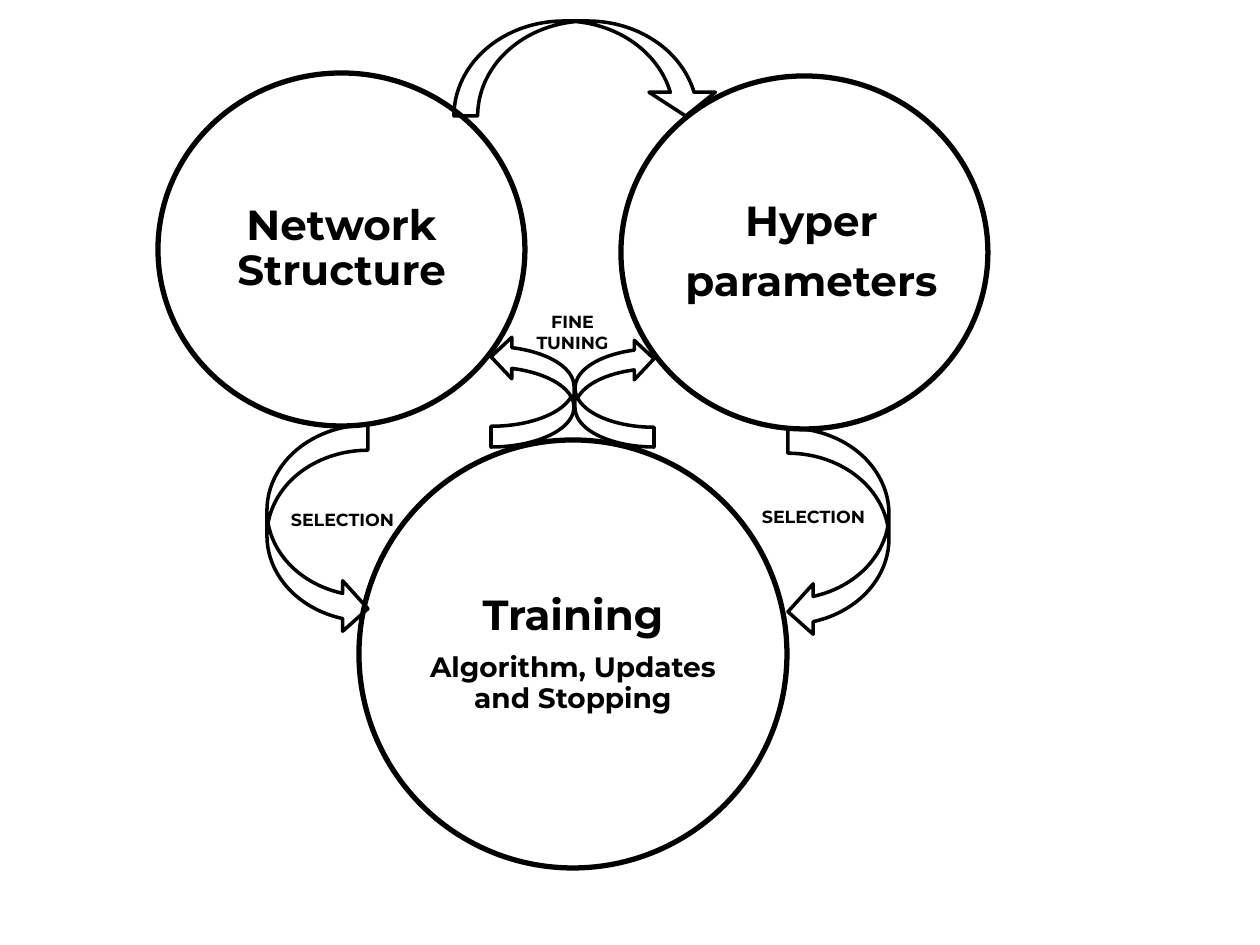
from dataclasses import dataclass

from pptx import Presentation
from pptx.dml.color import RGBColor
from pptx.enum.shapes import MSO_SHAPE
from pptx.enum.text import MSO_ANCHOR, PP_ALIGN
from pptx.util import Emu, Pt

ELLIPSE = MSO_SHAPE.OVAL
ARROW_RIGHT = MSO_SHAPE.CURVED_RIGHT_ARROW
ARROW_LEFT = MSO_SHAPE.CURVED_LEFT_ARROW
ARROW_DOWN = MSO_SHAPE.CURVED_DOWN_ARROW
MIDDLE, TOP = MSO_ANCHOR.MIDDLE, MSO_ANCHOR.TOP
CENTER = PP_ALIGN.CENTER
SCALE = 914400 // 126  # EMU per pixel


@dataclass(frozen=True)
class Theme:
    ink: RGBColor = RGBColor(0, 0, 0)
    paper: RGBColor = RGBColor(255, 255, 255)
    font: str = "Montserrat"
    title: int = 24
    detail: int = 16
    label: int = 10
    circle_line: int = 3
    arrow_line: int = 2


THEME = Theme()


def px(*lengths):
    return [Emu(round(n * SCALE)) for n in lengths]


def add_text(slide, box, lines, anchor=TOP, wrap=False, margins=(13, 6), spacing=None, after=0):
    """Write (text, size) lines; after is a share of the type size."""
    tf = slide.shapes.add_textbox(*px(*box)).text_frame
    tf.word_wrap, tf.vertical_anchor = wrap, anchor
    tf.margin_left = tf.margin_right = px(margins[0])[0]
    tf.margin_top = tf.margin_bottom = px(margins[1])[0]
    for i, (text, size) in enumerate(lines):
        p = tf.paragraphs[0] if i == 0 else tf.add_paragraph()
        p.alignment, p.line_spacing = CENTER, spacing
        p.space_after = Pt(after * size)
        r = p.add_run()
        r.text = text
        r.font.name, r.font.size, r.font.bold = THEME.font, Pt(size), True
        r.font.color.rgb = THEME.ink


def add_outline(slide, kind, box, weight):
    sp = slide.shapes.add_shape(kind, *px(*box))
    sp.shadow.inherit = False
    sp.fill.background()
    sp.line.color.rgb = THEME.ink
    sp.line.width = Pt(weight)
    return sp


def add_circle(slide, box, lines, text_size, shift=0):
    """Draw a stage circle with its text centred in it, moved right by shift."""
    x, y, w, h = box
    tw, th = text_size
    sp = add_outline(slide, ELLIPSE, box, THEME.circle_line)
    sp.fill.solid()
    sp.fill.fore_color.rgb = THEME.paper
    text_box = (x + (w - tw) / 2 + shift, y + (h - th) / 2, tw, th)
    add_text(slide, text_box, lines, anchor=MIDDLE, wrap=True,
             margins=(6, 6), spacing=0.9, after=0.35)


def add_arrow(slide, kind, box, rotation=0, adjustments=()):
    sp = add_outline(slide, kind, box, THEME.arrow_line)
    sp.rotation = rotation
    for i, value in enumerate(adjustments):
        sp.adjustments[i] = value


def add_cycle(slide, box):
    """Place the three stages, their arrows and labels from the box's corner."""
    left, top = box[:2]

    def at(x, y, w, h):
        return left + x, top + y, w, h

    # Stages
    big, small, tag = THEME.title, THEME.detail, THEME.label
    add_circle(slide, at(463, 55, 367, 353),
               [("Hyper", big), ("parameters", big)], (315, 249), shift=7)
    add_circle(slide, at(0, 52, 367, 353), [("Network Structure", big)], (258, 249))
    add_circle(slide, at(201, 419, 428, 428),
               [("Training", big), ("Algorithm, Updates and Stopping", small)], (302, 302))

    # Selection and fine-tuning arrows
    add_arrow(slide, ARROW_RIGHT, at(109, 404, 101, 209))
    add_arrow(slide, ARROW_LEFT, at(630, 407, 101, 209))
    add_arrow(slide, ARROW_RIGHT, at(333, 315, 83, 111), rotation=180)
    add_arrow(slide, ARROW_LEFT, at(417, 318, 79, 108), rotation=180)

    # Labels
    add_text(slide, at(362, 284, 105, 55), [("FINE", tag), ("TUNING", tag)])
    for x, y in ((115, 482), (586, 479)):
        add_text(slide, at(x, y, 139, 34), [("SELECTION", tag)])

    # Arrow between the upper stages
    add_arrow(slide, ARROW_DOWN, at(296, 0, 265, 95), adjustments=(0.25, 0.7, 0.25))


prs = Presentation()
prs.slide_width, prs.slide_height = px(1260, 945)
slide = prs.slides.add_slide(prs.slide_layouts[6])
add_cycle(slide, (158, 21, 830, 847))
prs.save("out.pptx")
